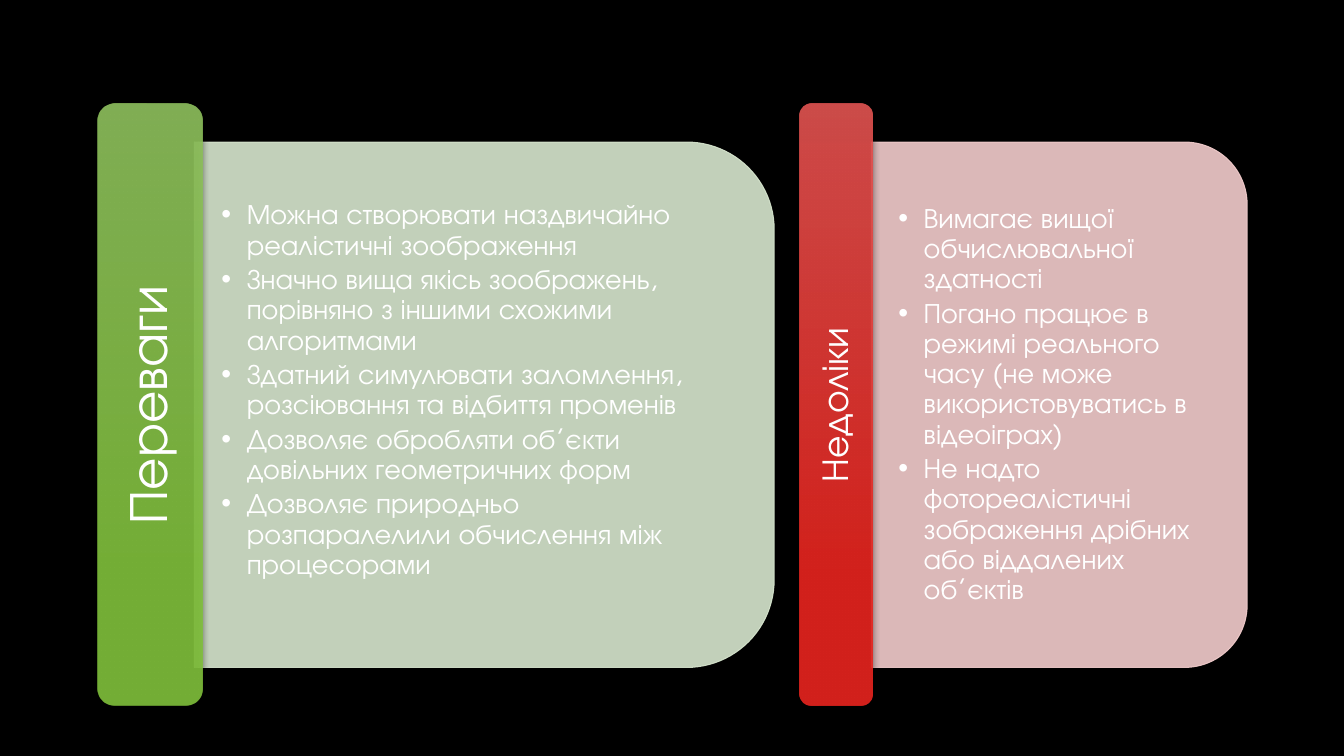
from lxml import etree
from pptx import Presentation
from pptx.dml.color import RGBColor
from pptx.enum.shapes import MSO_SHAPE as Preset
from pptx.enum.text import MSO_ANCHOR as Anchor, PP_ALIGN as Align
from pptx.oxml.ns import qn
from pptx.util import Cm, Pt

FONT = "TeX Gyre Adventor"
COLORS = {
    "background": "000000",
    "text": "FFFFFF",
    "pros_card": "D8E7CF",
    "pros_top": "8FC15E",
    "pros_bottom": "81C13C",
    "cons_card": "F3CDCD",
    "cons_top": "E25452",
    "cons_bottom": "E8251F",
}
PANEL_TOP, PANEL_HEIGHT = 2.62, 15.16
CARD_HEIGHT = 13.24
CORNER = 1 / 6  # corner radius as a share of the shorter side
CORNER_INSET = 0.293  # share of the radius that keeps text clear of a corner
PROS = [
    "Можна створювати наздвичайно реалістичні зоображення",
    "Значно вища якісь зоображень, порівняно з іншими схожими алгоритмами",
    "Здатний симулювати заломлення, розсіювання та відбиття променів",
    "Дозволяє обробляти об’єкти довільних геометричних форм",
    "Дозволяє природньо розпаралелили обчислення між процесорами",
]
CONS = [
    "Вимагає вищої обчислювальної здатності",
    "Погано працює в режимі реального часу (не може використовуватись в відеоіграх)",
    "Не надто фотореалістичні зображення дрібних або віддалених об’єктів",
]


def rgb(name):
    return RGBColor.from_string(COLORS[name])


def set_opacity(holder, percent):
    """Add an alpha value to every colour below the given XML element."""
    for color in holder.iter(qn("a:srgbClr")):
        etree.SubElement(color, qn("a:alpha"), val=str(percent * 1000))


def style_font(paragraph, size):
    font = paragraph.font
    font.name, font.size = FONT, Pt(size)
    font.color.rgb = rgb("text")


def add_card(shapes, left, top, width, height, color):
    """Draw a card rounded on its right side: a top-rounded shape turned by 90°."""
    card = shapes.add_shape(
        Preset.ROUND_2_SAME_RECTANGLE,
        Cm(left + (width - height) / 2), Cm(top + (height - width) / 2),
        Cm(height), Cm(width),
    )
    card.rotation = 90
    card.adjustments[0] = CORNER
    card.fill.solid()
    card.fill.fore_color.rgb = rgb(color)
    card.line.color.rgb = rgb(color)
    card.line.width = Pt(0.75)
    card.shadow.inherit = False
    set_opacity(card._element.spPr, 90)


def add_bullets(shapes, left, top, width, height, points, bottom_inset):
    inset = CORNER_INSET * CORNER * min(width, height)
    box = shapes.add_textbox(
        Cm(left), Cm(top + inset), Cm(width - inset), Cm(height - 2 * inset)
    )
    frame = box.text_frame
    frame.word_wrap = True
    frame.vertical_anchor = Anchor.MIDDLE
    frame.margin_left = frame.margin_right = Cm(0.68)
    frame.margin_top, frame.margin_bottom = Cm(0.36), Cm(bottom_inset)
    frame.text = "\n".join(points)
    for paragraph in frame.paragraphs:
        paragraph.line_spacing = 0.9
        paragraph.space_after = Pt(3)
        props = paragraph._p.get_or_add_pPr()
        props.set("marL", str(Cm(0.64)))
        props.set("indent", str(-Cm(0.64)))
        etree.SubElement(props, qn("a:buFont"), typeface="Arial")
        etree.SubElement(props, qn("a:buChar"), char="•")
        style_font(paragraph, 20)


def add_label(shapes, left, top, width, height, title, size, theme):
    """Draw the upright bar that carries the panel's title."""
    label = shapes.add_shape(
        Preset.ROUNDED_RECTANGLE, Cm(left), Cm(top), Cm(width), Cm(height)
    )
    label.adjustments[0] = CORNER
    label.fill.gradient()
    label.fill.gradient_angle = 270
    stops = zip(label.fill.gradient_stops, (0, 0.78), ("top", "bottom"))
    for stop, position, end in stops:
        stop.position = position
        stop.color.rgb = rgb(f"{theme}_{end}")
    set_opacity(label._element.spPr, 90)
    label.line.fill.background()

    label.shadow.inherit = False
    effects = label._element.spPr.find(qn("a:effectLst"))
    shadow = etree.SubElement(
        effects, qn("a:outerShdw"), blurRad=str(Pt(4.5)), dist=str(Pt(1.5)),
        dir="5400000", algn="ctr", rotWithShape="0",
    )
    etree.SubElement(shadow, qn("a:srgbClr"), val="000000")
    set_opacity(shadow, 48)

    frame = label.text_frame
    frame._txBody.bodyPr.set("vert", "vert270")
    frame.word_wrap = True
    frame.vertical_anchor = Anchor.MIDDLE
    frame.margin_left = frame.margin_right = Cm(0.3)
    frame.margin_top = frame.margin_bottom = Cm(0.15)
    frame.text = title
    paragraph = frame.paragraphs[0]
    paragraph.alignment = Align.CENTER
    paragraph.line_spacing = 0.9
    style_font(paragraph, size)


def add_panel(slide, left, label_width, card_left, card_width,
              title, title_size, points, theme, bottom_inset=0.36):
    shapes = slide.shapes.add_group_shape().shapes
    card_top = PANEL_TOP + (PANEL_HEIGHT - CARD_HEIGHT) / 2
    card_box = card_left, card_top, card_width, CARD_HEIGHT
    add_card(shapes, *card_box, f"{theme}_card")
    add_bullets(shapes, *card_box, points, bottom_inset)
    add_label(shapes, left, PANEL_TOP, label_width, PANEL_HEIGHT,
              title, title_size, theme)


def main():
    deck = Presentation()
    deck.slide_width, deck.slide_height = Cm(33.87), Cm(19.05)
    slide = deck.slides.add_slide(deck.slide_layouts[6])
    slide.background.fill.solid()
    slide.background.fill.fore_color.rgb = rgb("background")
    add_panel(slide, 2.47, 2.62, 4.9, 14.61, "Переваги", 39, PROS, "pros",
              bottom_inset=1.08)
    add_panel(slide, 20.16, 1.84, 21.96, 9.47, "Недоліки", 27, CONS, "cons")
    deck.save("out.pptx")


if __name__ == "__main__":
    main()
